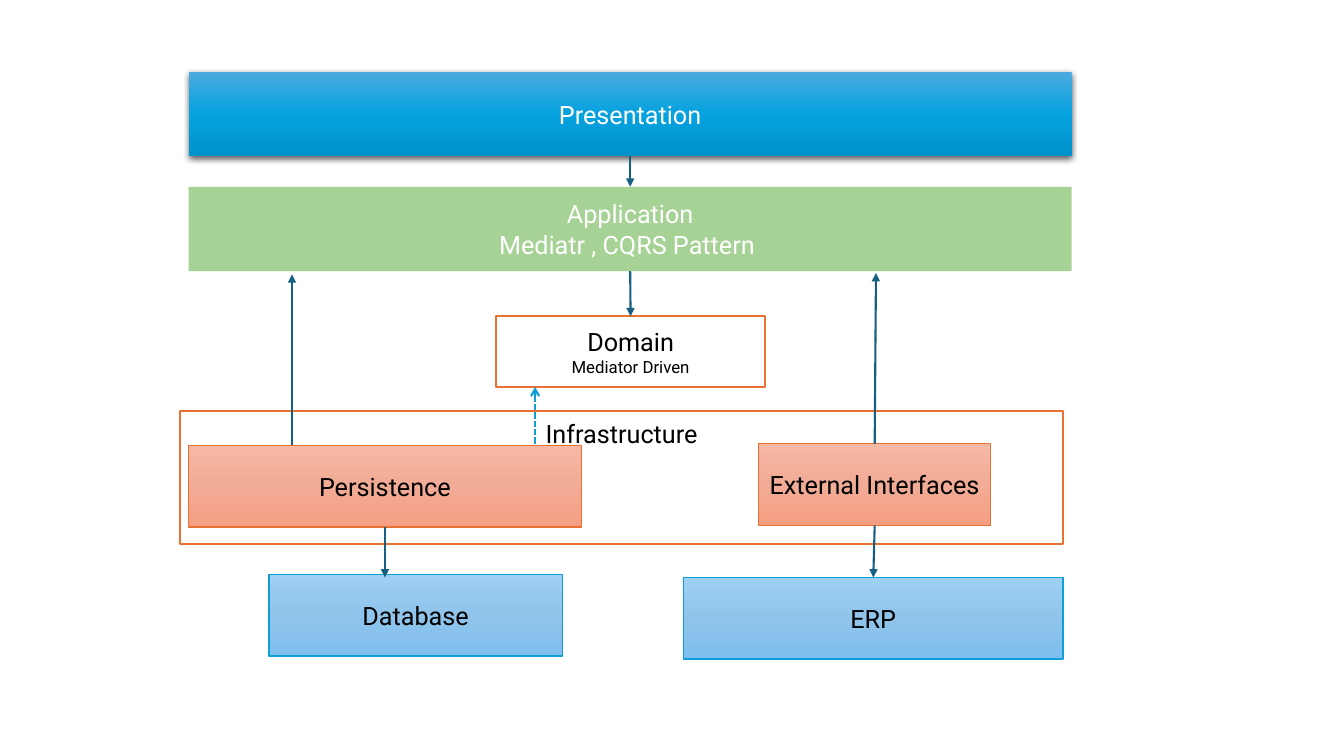
from copy import deepcopy

from lxml import etree
from pptx import Presentation
from pptx import util as u
from pptx.dml.color import RGBColor
from pptx.enum import dml, shapes, text
from pptx.oxml import ns

COLORS = {
    "white": "FFFFFF", "black": "000000", "green": "4EA72E",
    "orange": "E97132", "blue": "0F9ED5", "teal": "156082",
}
GRADIENTS = {
    "presentation": ("4CAADF", "05A2DF", "0092CB"),
    "adapter": ("F5B8A5", "F2AB96", "F59E82"),
    "system": ("9ECFF5", "90C4EB", "7CBEED"),
}


def rgb(name):
    return RGBColor.from_string(COLORS[name])


def add_xml(parent, tag, **attrs):
    return etree.SubElement(parent, ns.qn(tag), attrs)


class Diagram:
    font = "Roboto"
    size = 18

    def __init__(self, slide):
        self.s = slide

    def box(self, label, left, top, width, height, fill, line=None,
            line_width=1, color="black", anchor=text.MSO_ANCHOR.MIDDLE):
        """Add a labelled rectangle; fill names a gradient or a plain colour."""
        sp = self.s.shapes.add_shape(
            shapes.MSO_SHAPE.RECTANGLE,
            u.Pt(left), u.Pt(top), u.Pt(width), u.Pt(height))
        sp.shadow.inherit = False
        if fill in GRADIENTS:
            self.gradient(sp, GRADIENTS[fill])
        else:
            sp.fill.solid()
            sp.fill.fore_color.rgb = rgb(fill)
        if line:
            sp.line.color.rgb = rgb(line)
            sp.line.width = u.Pt(line_width)
        else:
            sp.line.fill.background()
        tf = sp.text_frame
        tf.word_wrap = True
        tf.vertical_anchor = anchor
        tf.margin_top = tf.margin_bottom = u.Pt(5)
        tf.text = label
        for p in tf.paragraphs:
            p.alignment = text.PP_ALIGN.CENTER
            for r in p.runs:
                r.font.name = self.font
                r.font.size = u.Pt(self.size)
                r.font.color.rgb = rgb(color)
        return sp

    def gradient(self, sp, colors):
        """Fill from top to bottom with evenly spaced colours."""
        sp.fill.gradient()
        sp.fill.gradient_angle = 270
        stops = sp._element.spPr.find(".//" + ns.qn("a:gsLst"))
        stops.append(deepcopy(stops[0]))
        for i, (stop, color) in enumerate(zip(sp.fill.gradient_stops, colors)):
            stop.position = i / (len(colors) - 1)
            stop.color.rgb = RGBColor.from_string(color)

    def fade(self, sp, percent):
        """Set the opacity of a plain fill."""
        clr = sp._element.spPr.find(ns.qn("a:solidFill"))[0]
        add_xml(clr, "a:alpha", val=str(percent * 1000))

    def drop_shadow(self, sp):
        effects = sp._element.spPr.find(ns.qn("a:effectLst"))
        shadow = add_xml(effects, "a:outerShdw", blurRad=str(u.Pt(4.5)),
                         dist=str(u.Pt(1.5)), dir="5400000",
                         algn="ctr", rotWithShape="0")
        clr = add_xml(shadow, "a:srgbClr", val=COLORS["black"])
        add_xml(clr, "a:alpha", val="63000")

    def arrow(self, x1, y1, x2, y2, begin=None, end=None,
              color="teal", head="triangle", dash=None):
        """Add an arrow; begin and end are (shape, side) pairs to join."""
        cn = self.s.shapes.add_connector(
            shapes.MSO_CONNECTOR.STRAIGHT,
            u.Pt(x1), u.Pt(y1), u.Pt(x2), u.Pt(y2))
        if begin:
            cn.begin_connect(*begin)
        if end:
            cn.end_connect(*end)
        cn.line.color.rgb = rgb(color)
        cn.line.width = u.Pt(1.5)
        if dash:
            cn.line.dash_style = dash
        add_xml(cn.line._get_or_add_ln(), "a:tailEnd", type=head)
        add_xml(cn._element.spPr, "a:effectLst")


def main():
    prs = Presentation()
    prs.slide_width, prs.slide_height = u.Pt(960), u.Pt(540)
    d = Diagram(prs.slides.add_slide(prs.slide_layouts[6]))

    d.box("Infrastructure", 128.7, 293.6, 630.7, 95, "white", "orange", 1.5,
          anchor=text.MSO_ANCHOR.TOP)
    application = d.box("Application\nMediatr , CQRS Pattern ",
                        134.8, 133.4, 630.7, 60.3, "green", color="white")
    d.fade(application, 50)
    domain = d.box("Domain\vMediator Driven", 354.2, 225.9, 192.5, 50.6,
                   "white", "orange", 1.5)
    domain.text_frame.paragraphs[0].runs[1].font.size = u.Pt(12)
    external = d.box("External Interfaces", 542, 317, 165.6, 58.3,
                     "adapter", "orange")
    presentation = d.box("Presentation", 134.8, 51.3, 630.7, 60.3,
                         "presentation", color="white")
    d.drop_shadow(presentation)
    d.box("Database", 192.1, 410.4, 209.6, 58.3, "system", "blue")
    erp = d.box("ERP", 488.1, 412.5, 271.4, 58.3, "system", "blue")
    persistence = d.box("Persistence", 134.6, 318.2, 280.8, 58.3,
                        "adapter", "orange")

    d.arrow(450, 111.6, 450, 133.4, (presentation, 2), (application, 0))
    d.arrow(450, 193.7, 450, 225.9, (application, 2), (domain, 0))
    d.arrow(625, 317, 625.7, 195, (external, 0))
    d.arrow(625, 375.3, 623.8, 412.5, (external, 2), (erp, 0))
    d.arrow(275, 376.5, 275, 412.5, (persistence, 2))
    d.arrow(208.6, 318.2, 208.6, 196)
    d.arrow(382.2, 317, 382.2, 276.5, color="blue", head="arrow",
            dash=dml.MSO_LINE.SQUARE_DOT)

    prs.save("out.pptx")


if __name__ == "__main__":
    main()
